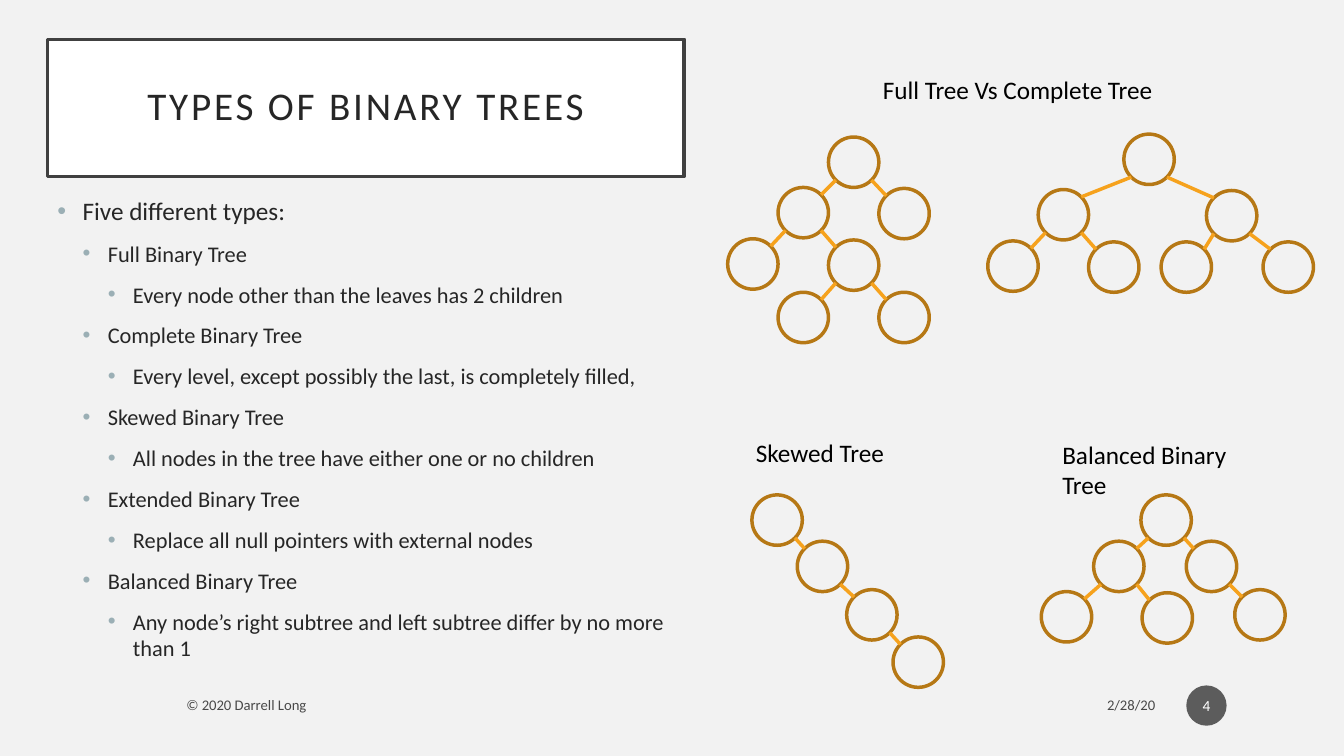
"""Build the slide on types of binary trees."""
import dataclasses
import math

import lxml.etree
import pptx
import pptx.dml.color
import pptx.enum.shapes
import pptx.enum.text
import pptx.oxml.ns
import pptx.util

Pt = pptx.util.Pt
Align = pptx.enum.text.PP_ALIGN
Anchor = pptx.enum.text.MSO_ANCHOR
Shape = pptx.enum.shapes.MSO_SHAPE


@dataclasses.dataclass(frozen=True)
class Theme:
    font: str = "Calibri"
    page: str = "F2F2F2"
    white: str = "FFFFFF"
    black: str = "000000"
    text: str = "262626"
    frame: str = "404040"
    bullet: str = "9BAFB5"
    badge: str = "1D1D1D"
    node: str = "B67815"
    edge: str = "F6A21D"
    title_size: float = 28
    list_size: float = 18
    sublist_size: float = 16
    footer_size: float = 10.5
    badge_size: float = 11
    stroke: float = 2.5
    muted: int = 70
    node_size: float = 36


def add_xml(parent, tag, **attributes):
    return lxml.etree.SubElement(parent, pptx.oxml.ns.qn(tag), attributes)


class SlideBuilder:
    def __init__(self, page, theme):
        self.page = page
        self.theme = theme
        self.paint(page.background.fill, theme.page)

    def paint(self, fill, color, opacity=100):
        fill.solid()
        fill.fore_color.rgb = pptx.dml.color.RGBColor.from_string(color)
        if opacity < 100:
            for node in fill._xPr.iter(pptx.oxml.ns.qn("a:srgbClr")):
                add_xml(node, "a:alpha", val=str(opacity * 1000))

    def stroke(self, line, color):
        self.paint(line.fill, color)
        line.width = Pt(self.theme.stroke)

    def place(self, shape, left, top, width, height):
        shape.left, shape.top = Pt(left), Pt(top)
        shape.width, shape.height = Pt(width), Pt(height)

    def add_span(self, para, text, size, color, opacity=100):
        span = para.add_run()
        span.text = text
        span.font.name = self.theme.font
        span.font.size = Pt(size)
        self.paint(span.font.fill, color, opacity)
        return span

    def title(self, text, *bounds):
        box = self.page.shapes.title
        self.place(box, *bounds)
        self.paint(box.fill, self.theme.white)
        self.stroke(box.line, self.theme.frame)
        frame = box.text_frame
        frame.auto_size = pptx.enum.text.MSO_AUTO_SIZE.NONE
        frame.vertical_anchor = Anchor.MIDDLE
        frame.margin_left = frame.margin_right = Pt(14.4)
        frame.margin_top = frame.margin_bottom = Pt(14.4)
        para = frame.paragraphs[0]
        para.alignment = Align.CENTER
        para.line_spacing = 0.9
        span = self.add_span(para, text, self.theme.title_size, self.theme.text)
        span.font._element.set("spc", "200")

    def bullets(self, items, *bounds):
        box = self.page.placeholders[1]
        self.place(box, *bounds)
        frame = box.text_frame
        frame.auto_size = pptx.enum.text.MSO_AUTO_SIZE.NONE
        for index, (level, text) in enumerate(items):
            para = frame.add_paragraph() if index else frame.paragraphs[0]
            para.level = level
            properties = para._p.get_or_add_pPr()
            properties.set("marL", str(Pt(18 * (level + 1))))
            properties.set("indent", str(Pt(-18)))
            color = add_xml(properties, "a:buClr")
            add_xml(color, "a:srgbClr", val=self.theme.bullet)
            add_xml(properties, "a:buFont", typeface="Arial")
            add_xml(properties, "a:buChar", char="•")
            para.space_before = Pt(10 if index else 0)
            size = self.theme.sublist_size if level else self.theme.list_size
            self.add_span(para, text, size, self.theme.text)

    def label(self, text, *bounds, wrap=False, right_margin=7.2):
        box = self.page.shapes.add_textbox(*map(Pt, bounds))
        frame = box.text_frame
        frame.word_wrap = wrap
        frame.margin_right = Pt(right_margin)
        self.add_span(frame.paragraphs[0], text, self.theme.list_size, self.theme.black)

    def footer(self, text, alignment, *bounds):
        box = self.page.shapes.add_textbox(*map(Pt, bounds))
        frame = box.text_frame
        frame.word_wrap = True
        frame.vertical_anchor = Anchor.MIDDLE
        para = frame.paragraphs[0]
        para.alignment = alignment
        self.add_span(para, text, self.theme.footer_size, self.theme.black, self.theme.muted)

    def circle(self, left, top, size):
        circle = self.page.shapes.add_shape(Shape.OVAL, Pt(left), Pt(top), Pt(size), Pt(size))
        circle.shadow.inherit = False
        return circle

    def badge(self, text, left, top, size):
        circle = self.circle(left, top, size)
        self.paint(circle.fill, self.theme.badge, self.theme.muted)
        circle.line.fill.background()
        frame = circle.text_frame
        frame.margin_left = frame.margin_right = Pt(1.44)
        frame.vertical_anchor = Anchor.MIDDLE
        para = frame.paragraphs[0]
        para.alignment = Align.CENTER
        self.add_span(para, text, self.theme.badge_size, self.theme.white)

    def edge(self, parent, child):
        size = self.theme.node_size
        near = size / 2 * (1 - math.sqrt(0.5))
        far = size - near
        start, end = (near, far) if child[0] < parent[0] else (far, near)
        line = self.page.shapes.add_connector(
            pptx.enum.shapes.MSO_CONNECTOR.STRAIGHT,
            Pt(parent[0] + start), Pt(parent[1] + far),
            Pt(child[0] + end), Pt(child[1] + near))
        self.stroke(line.line, self.theme.edge)
        add_xml(line._element.spPr, "a:effectLst")

    def tree(self, nodes):
        for left, top, parent in nodes:
            circle = self.circle(left, top, self.theme.node_size)
            circle.fill.background()
            self.stroke(circle.line, self.theme.node)
        for left, top, parent in nodes:
            if parent is not None:
                self.edge(nodes[parent], (left, top))


TYPES = [
    ("Full Binary Tree", "Every node other than the leaves has 2 children"),
    ("Complete Binary Tree", "Every level, except possibly the last, is completely filled,"),
    ("Skewed Binary Tree", "All nodes in the tree have either one or no children"),
    ("Extended Binary Tree", "Replace all null pointers with external nodes"),
    ("Balanced Binary Tree",
     "Any node’s right subtree and left subtree differ by no more than 1"),
]
FULL = [(591.8, 97.9, None), (555.8, 133.9, 0), (627.8, 134.6, 0), (591.8, 171.4, 1),
        (519.8, 170.6, 1), (555.8, 208.8, 3), (627.8, 208.8, 3)]
COMPLETE = [(802.8, 95.8, None), (741.6, 135.4, 0), (861.8, 136.1, 0), (777.6, 172.8, 1),
            (705.6, 172.1, 1), (829.4, 172.8, 2), (902.2, 172.8, 2)]
SKEWED = [(537.1, 353.5, None), (569.5, 386.6, 0), (604.8, 421.2, 1), (637.9, 455, 2)]
BALANCED = [(815, 353.5, None), (847.4, 386.6, 0), (882, 421.2, 1), (781.2, 386.6, 0),
            (815.8, 423.4, 3), (743.8, 422.6, 3)]


def main():
    deck = pptx.Presentation()
    deck.slide_width, deck.slide_height = Pt(960), Pt(540)
    page = deck.slides.add_slide(deck.slide_layouts[1])
    builder = SlideBuilder(page, Theme())
    builder.title("TYPES OF BINARY TREES", 33.8, 28.1, 455, 97.9)
    items = [(0, "Five different types:")]
    for name, meaning in TYPES:
        items += [(1, name), (2, meaning)]
    builder.bullets(items, 33.8, 136.1, 455, 364.3)
    builder.footer("2/28/20", Align.RIGHT, 615.6, 491, 216.7, 25.2)
    builder.footer("© 2020 Darrell Long", Align.LEFT, 126, 491, 464.4, 25.2)
    builder.badge("4", 847.4, 489.6, 28.8)
    for nodes in (FULL, COMPLETE, SKEWED, BALANCED):
        builder.tree(nodes)
    builder.label("Full Tree Vs Complete Tree", 623.5, 49.7, 210.2, 28.8)
    builder.label("Skewed Tree", 532.8, 308.9, 105.8, 28.8)
    builder.label("Balanced Binary Tree", 751.7, 310.3, 167, 28.8, wrap=True, right_margin=28)
    deck.save("out.pptx")


if __name__ == "__main__":
    main()
